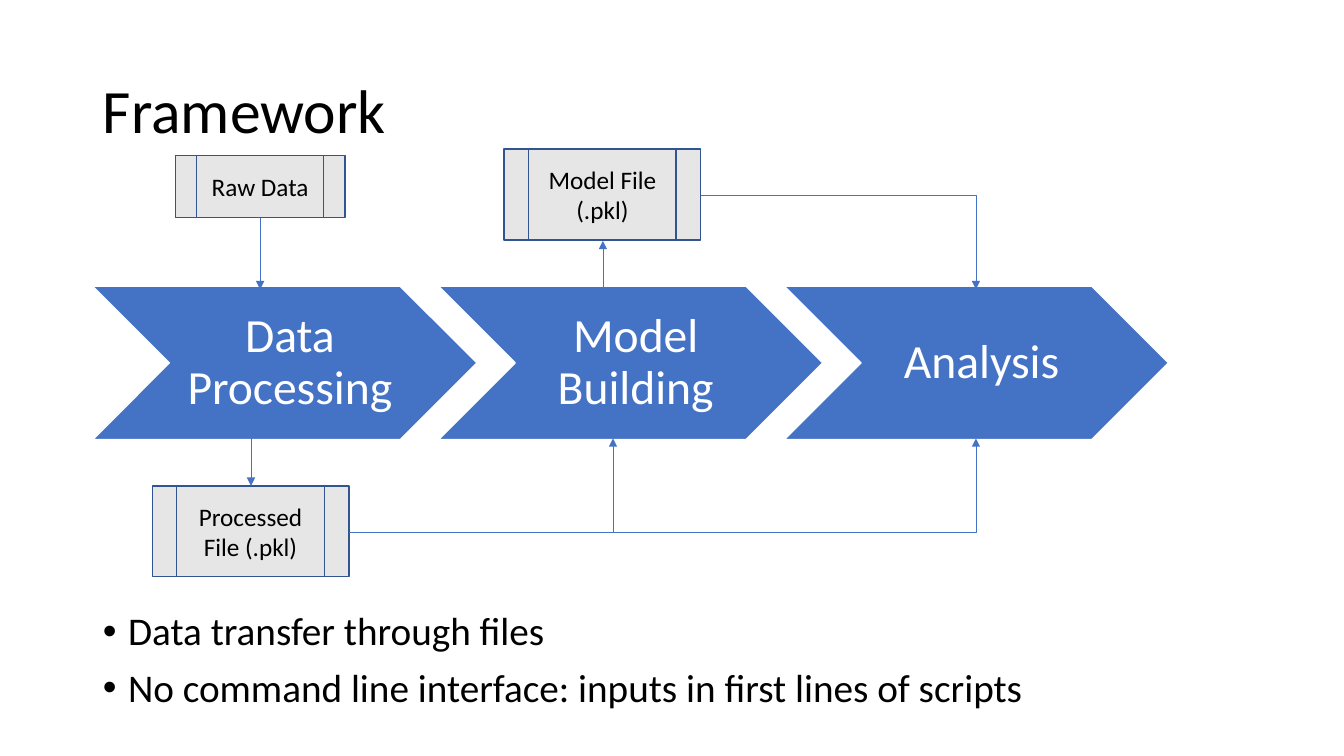
from dataclasses import dataclass

from lxml.etree import SubElement
from pptx import Presentation
from pptx.dml.color import RGBColor
from pptx.enum.shapes import MSO_CONNECTOR, MSO_SHAPE
from pptx.enum.text import MSO_ANCHOR, MSO_AUTO_SIZE, PP_ALIGN
from pptx.oxml.ns import qn
from pptx.slide import Slide
from pptx.text.text import TextFrame
from pptx.util import Emu, Pt

BLACK = RGBColor(0x00, 0x00, 0x00)
WHITE = RGBColor(0xFF, 0xFF, 0xFF)
BLUE = RGBColor(0x44, 0x72, 0xC4)
DARK_BLUE = RGBColor(0x32, 0x54, 0x91)
GREY = RGBColor(0xE7, 0xE6, 0xE6)
FONT = "Calibri"

STAGES = ["Data Processing", "Model Building", "Analysis"]
STAGE_LEFT, STAGE_TOP, STAGE_STEP = 92, 284, 343
STAGE_WIDTH, STAGE_HEIGHT = 381, 152
LABEL_INSET, LABEL_WIDTH = 76, 229


@dataclass(frozen=True)
class DataFile:
    label: str
    left: int
    top: int
    width: int
    height: int


@dataclass(frozen=True)
class Flow:
    start: tuple[int, int]
    end: tuple[int, int]
    bent: bool = False


DATA_FILES = [
    DataFile("Raw Data", 174, 154, 168, 62),
    DataFile("Processed File (.pkl)", 151, 482, 195, 90),
    DataFile("Model File (.pkl)", 500, 148, 195, 90),
]

FLOWS = [
    Flow((258, 216), (258, 287)),
    Flow((249, 431), (249, 482)),
    Flow((598, 301), (598, 239)),
    Flow((346, 528), (608, 435), bent=True),
    Flow((346, 528), (968, 435), bent=True),
    Flow((695, 194), (968, 287), bent=True),
]


def px(length: int) -> Emu:
    return Emu(length * 9144)


def format_text(frame: TextFrame, size: int, color: RGBColor,
                align: PP_ALIGN, spacing: float = 1.0) -> None:
    frame.word_wrap = True
    frame.auto_size = MSO_AUTO_SIZE.NONE
    for paragraph in frame.paragraphs:
        paragraph.alignment = align
        paragraph.line_spacing = spacing
        for run in paragraph.runs:
            run.font.size = Pt(size)
            run.font.name = FONT
            run.font.color.rgb = color


def draw_stage(slide: Slide, name: str, left: int) -> None:
    chevron = slide.shapes.add_shape(
        MSO_SHAPE.CHEVRON, px(left), px(STAGE_TOP), px(STAGE_WIDTH), px(STAGE_HEIGHT))
    chevron.shadow.inherit = False
    chevron.fill.solid()
    chevron.fill.fore_color.rgb = BLUE
    chevron.line.color.rgb = WHITE
    chevron.line.width = Pt(1)
    label = slide.shapes.add_textbox(
        px(left + LABEL_INSET), px(STAGE_TOP), px(LABEL_WIDTH), px(STAGE_HEIGHT)).text_frame
    label.text = name
    label.vertical_anchor = MSO_ANCHOR.MIDDLE
    label.margin_left = px(15)
    label.margin_right = label.margin_top = label.margin_bottom = px(5)
    format_text(label, 34, WHITE, PP_ALIGN.CENTER, 0.9)


def draw_data_file(slide: Slide, file: DataFile) -> None:
    box = slide.shapes.add_shape(
        MSO_SHAPE.FLOWCHART_PREDEFINED_PROCESS,
        px(file.left), px(file.top), px(file.width), px(file.height))
    box.shadow.inherit = False
    box.fill.solid()
    box.fill.fore_color.rgb = GREY
    box.line.color.rgb = DARK_BLUE
    box.line.width = Pt(1)
    box.text_frame.text = file.label
    box.text_frame.vertical_anchor = MSO_ANCHOR.MIDDLE
    format_text(box.text_frame, 18, BLACK, PP_ALIGN.CENTER)


def draw_flow(slide: Slide, flow: Flow) -> None:
    kind = MSO_CONNECTOR.ELBOW if flow.bent else MSO_CONNECTOR.STRAIGHT
    arrow = slide.shapes.add_connector(
        kind, *(px(value) for value in flow.start + flow.end))
    arrow.line.color.rgb = BLUE
    arrow.line.width = Pt(0.5)
    properties = arrow._element.spPr
    SubElement(properties.find(qn("a:ln")), qn("a:tailEnd"), type="triangle")
    SubElement(properties, qn("a:effectLst"))
    if flow.bent:
        adjustments = properties.find(qn("a:prstGeom")).find(qn("a:avLst"))
        SubElement(adjustments, qn("a:gd"), name="adj1", fmla="val 100000")


def fill_title(slide: Slide) -> None:
    title = slide.shapes.title
    title.left, title.top, title.width, title.height = px(92), px(40), px(1150), px(145)
    title.text_frame.text = "Framework"
    title.text_frame.vertical_anchor = MSO_ANCHOR.MIDDLE
    format_text(title.text_frame, 44, BLACK, PP_ALIGN.LEFT, 0.9)


def fill_notes_list(slide: Slide) -> None:
    remarks = slide.placeholders[1]
    remarks.left, remarks.top, remarks.width, remarks.height = (
        px(92), px(602), px(1150), px(123))
    remarks.text_frame.text = (
        "Data transfer through files\n"
        "No command line interface: inputs in first lines of scripts")
    format_text(remarks.text_frame, 28, BLACK, PP_ALIGN.LEFT, 0.9)
    for paragraph in remarks.text_frame.paragraphs:
        paragraph.space_before = Pt(10)
        settings = paragraph._p.get_or_add_pPr()
        settings.set("marL", str(px(25)))
        settings.set("indent", str(px(-25)))
        SubElement(settings, qn("a:buFont"), typeface="Arial")
        SubElement(settings, qn("a:buChar"), char="•")


def main() -> None:
    deck = Presentation()
    deck.slide_width, deck.slide_height = px(1333), px(750)
    slide = deck.slides.add_slide(deck.slide_layouts[1])
    fill_title(slide)
    for index, name in enumerate(STAGES):
        draw_stage(slide, name, STAGE_LEFT + index * STAGE_STEP)
    for file in DATA_FILES:
        draw_data_file(slide, file)
    for flow in FLOWS:
        draw_flow(slide, flow)
    fill_notes_list(slide)
    deck.save("out.pptx")


if __name__ == "__main__":
    main()
